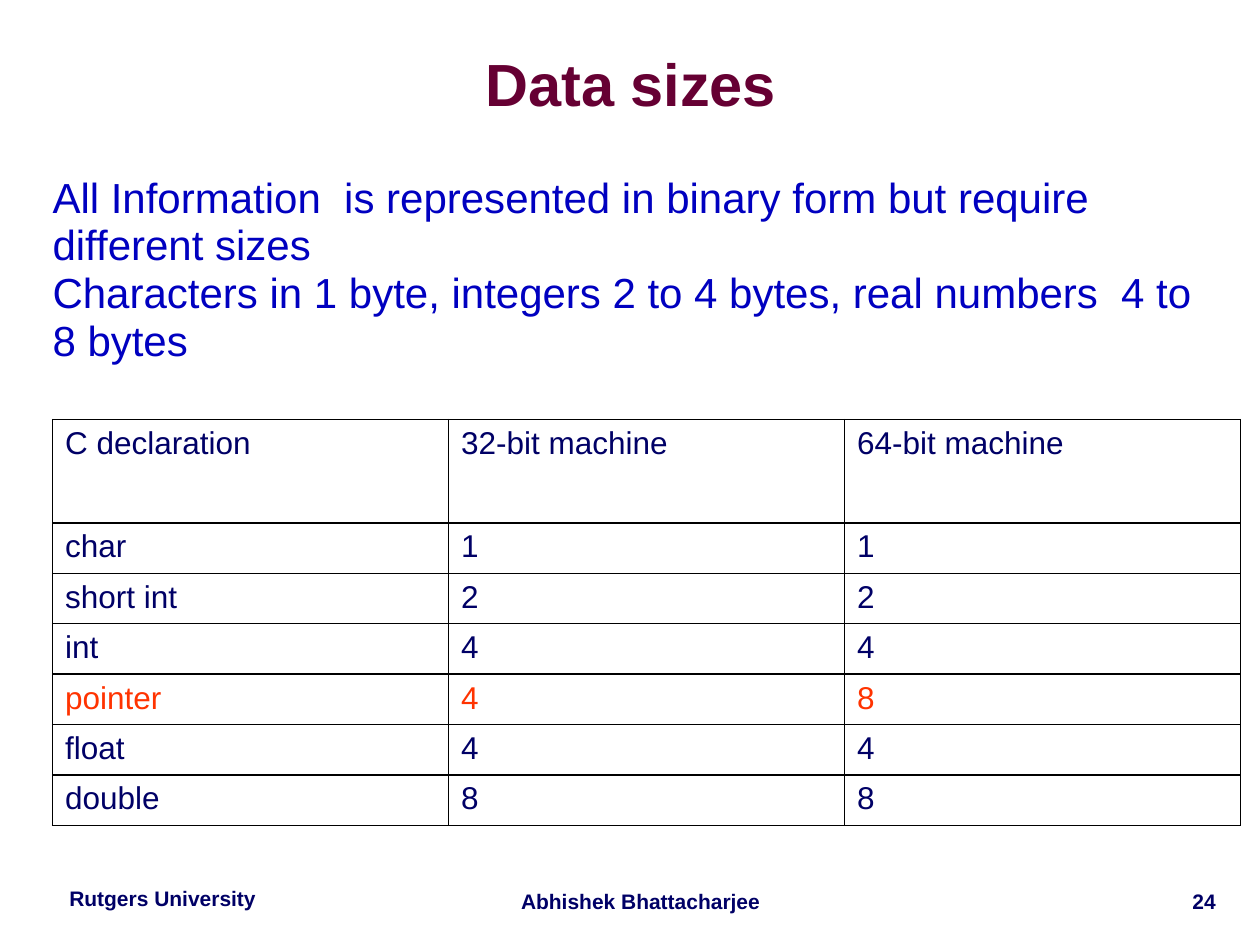
from pptx import Presentation
from pptx.dml.color import RGBColor
from pptx.enum.text import MSO_ANCHOR as Anchor, PP_ALIGN as Align
from pptx.oxml import parse_xml
from pptx.oxml.ns import nsdecls
from pptx.util import Cm, Pt

COLORS = {
    "background": "FFFFFF",
    "title": "660033",
    "body": "0000C0",
    "text": "000066",
    "highlight": "FF3300",
    "border": "000000",
}
FONT = "Arial"
TITLE = "Data sizes"
BODY = [
    "All Information  is represented in binary form but require  different sizes",
    "Characters in 1 byte, integers 2 to 4 bytes, real numbers  4 to 8 bytes",
]
SIZES = [
    ("C declaration", "32-bit machine", "64-bit machine"),
    ("char", "1", "1"),
    ("short int", "2", "2"),
    ("int", "4", "4"),
    ("pointer", "4", "8"),
    ("float", "4", "4"),
    ("double", "8", "8"),
]
HIGHLIGHTED = "pointer"
MARGINS = ("margin_left", "margin_top", "margin_right", "margin_bottom")


def color(name):
    return RGBColor.from_string(COLORS[name])


def set_attributes(target, values):
    for name, value in values.items():
        setattr(target, name, value)


def write(frame, lines, size, color_name, bold=False, **paragraph_format):
    """Fill a text frame with one formatted paragraph per line."""
    for index, line in enumerate(lines):
        paragraph = frame.paragraphs[0] if index == 0 else frame.add_paragraph()
        set_attributes(paragraph, paragraph_format)
        run = paragraph.add_run()
        run.text = line
        set_attributes(run.font, {"name": FONT, "size": Pt(size), "bold": bold})
        run.font.color.rgb = color(color_name)


def place(shape, box):
    set_attributes(shape, dict(zip(("left", "top", "width", "height"), box)))


def add_text(slide, box, lines, size, color_name, **text_format):
    frame = slide.shapes.add_textbox(*box).text_frame
    frame.word_wrap = True
    write(frame, lines, size, color_name, **text_format)


def add_title(slide, box):
    title = slide.shapes.title
    place(title, box)
    frame = title.text_frame
    set_attributes(frame, {"word_wrap": True, "vertical_anchor": Anchor.MIDDLE})
    set_attributes(frame, dict.fromkeys(MARGINS, 0))
    write(frame, [TITLE], 34, "title", bold=True,
          alignment=Align.CENTER, line_spacing=0.87)


def add_borders(cell):
    properties = cell._tc.get_or_add_tcPr()
    for position, side in enumerate(("lnL", "lnR", "lnT", "lnB")):
        properties.insert(position, parse_xml(
            f'<a:{side} {nsdecls("a")} w="12700"><a:solidFill>'
            f'<a:srgbClr val="{COLORS["border"]}"/></a:solidFill></a:{side}>'))


def add_size_table(slide, box, header_height):
    height = box[3]
    table = slide.shapes.add_table(len(SIZES), len(SIZES[0]), *box).table
    set_attributes(table, {"first_row": False, "horz_banding": False})
    row_height = (height - header_height) // (len(SIZES) - 1)
    for index, (row, values) in enumerate(zip(table.rows, SIZES)):
        row.height = row_height if index else header_height
        color_name = "highlight" if values[0] == HIGHLIGHTED else "text"
        for cell, value in zip(row.cells, values):
            cell.fill.background()
            add_borders(cell)
            write(cell.text_frame, [value], 18, color_name)


def add_footer(slide, top, height):
    for left, width, text, text_format in (
        (0.84, 4.88, "Rutgers University",
         {"alignment": Align.CENTER, "line_spacing": 0.9}),
        (10.16, 5.51, "Abhishek Bhattacharjee", {"alignment": Align.CENTER}),
        (20.75, 4.01, "24", {"alignment": Align.RIGHT}),
    ):
        add_text(slide, (Cm(left), top, Cm(width), height), [text], 12, "text",
                 bold=True, **text_format)


def main():
    presentation = Presentation()
    set_attributes(presentation, {"slide_width": Cm(25.4), "slide_height": Cm(19.05)})
    slide = presentation.slides.add_slide(presentation.slide_layouts.get_by_name("Title Only"))
    slide.background.fill.solid()
    slide.background.fill.fore_color.rgb = color("background")

    add_footer(slide, Cm(17.78), Cm(0.77))
    add_title(slide, (Cm(0.79), Cm(0.69), Cm(23.85), Cm(2.16)))
    add_text(slide, (Cm(0.81), Cm(3.4), Cm(23.95), Cm(13.97)), BODY, 24, "body",
             line_spacing=0.95)
    add_size_table(slide, (Cm(1.06), Cm(8.46), Cm(23.95), Cm(8.1)), Cm(2.08))
    presentation.save("out.pptx")


if __name__ == "__main__":
    main()
